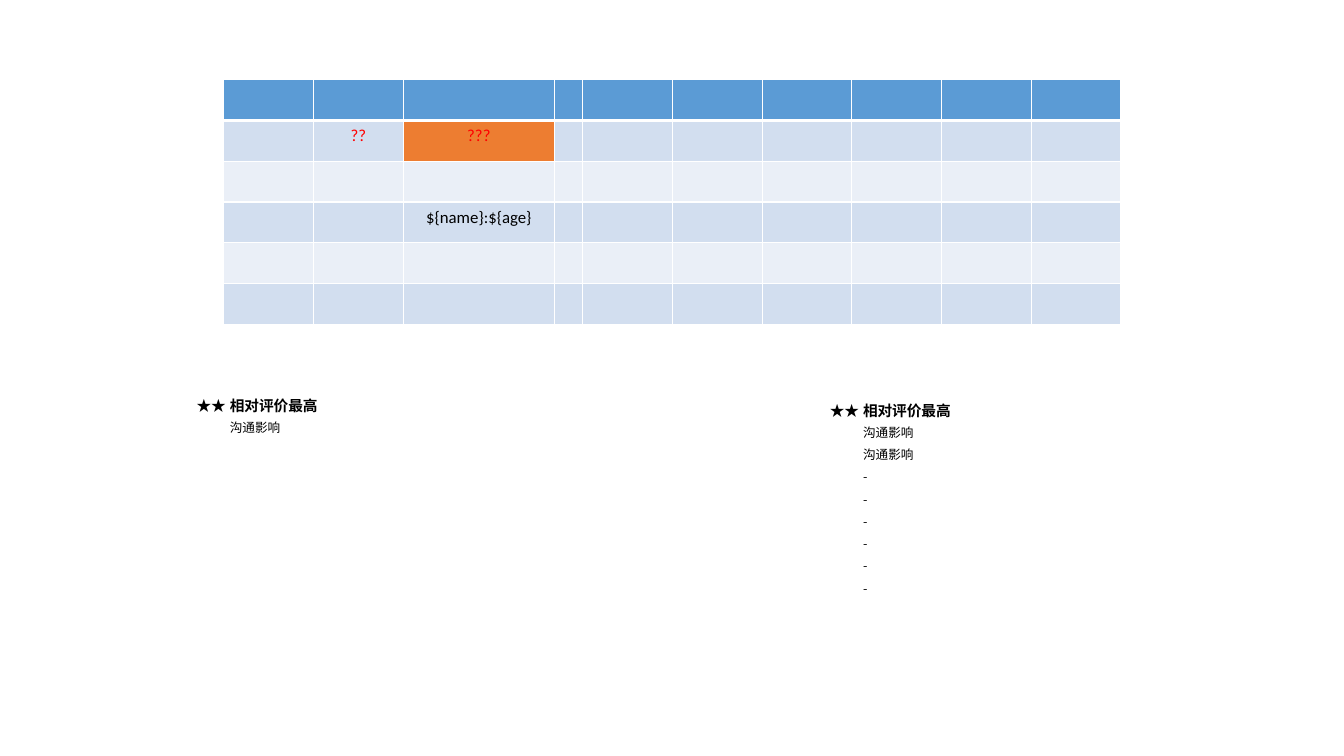
from lxml import etree
from pptx import Presentation
from pptx.dml.color import RGBColor
from pptx.enum.text import MSO_ANCHOR, PP_ALIGN
from pptx.oxml.ns import qn
from pptx.util import Inches, Pt

CENTER, LEFT, MIDDLE = PP_ALIGN.CENTER, PP_ALIGN.LEFT, MSO_ANCHOR.MIDDLE

WHITE = RGBColor(0xFF, 0xFF, 0xFF)
BLACK = RGBColor(0x00, 0x00, 0x00)
RED = RGBColor(0xFF, 0x00, 0x00)
ORANGE = RGBColor(0xED, 0x7D, 0x31)
HEADER_BLUE = RGBColor(0x5B, 0x9B, 0xD5)
BAND_DARK = RGBColor(0xD2, 0xDE, 0xEF)
BAND_LIGHT = RGBColor(0xEA, 0xEF, 0xF7)

GRID_FONT, RATING_FONT = "Calibri", "Noto Sans CJK SC"


def write_cell(cell, text, font_name, size, color, align, bold=False):
    """Write one run into a cell; an empty cell only keeps the text size."""
    paragraph = cell.text_frame.paragraphs[0]
    paragraph.alignment = align
    if not text:
        end = etree.SubElement(paragraph._p, qn("a:endParaRPr"), sz=str(int(size * 100)))
        etree.SubElement(end, qn("a:latin"), typeface=font_name)
        return
    run = paragraph.add_run()
    run.text = text
    run.font.name = font_name
    run.font.size = Pt(size)
    run.font.bold = bold
    run.font.color.rgb = color
    etree.SubElement(run.font._element, qn("a:ea"), typeface=font_name)


def add_grid(slide, left, top, column_widths, row_heights):
    """Add a table with the given column widths and row heights in inches."""
    table = slide.shapes.add_table(
        len(row_heights), len(column_widths), Inches(left), Inches(top),
        Inches(sum(column_widths)), Inches(sum(row_heights))).table
    for column, width in zip(table.columns, column_widths):
        column.width = Inches(width)
    for row, height in zip(table.rows, row_heights):
        row.height = Inches(height)
    return table


presentation = Presentation()
presentation.slide_width = Inches(13.33)
presentation.slide_height = Inches(7.5)
slide = presentation.slides.add_slide(presentation.slide_layouts[6])

# Banded grid with its placeholder values
COLUMN, ROW, ROW_COUNT = 0.89, 0.405, 6
grid_columns = [COLUMN] * 2 + [1.5, 0.28] + [COLUMN] * 6
grid_values = {(1, 1): ("??", RED), (1, 2): ("???", RED),
               (3, 2): ("${name}:${age}", BLACK)}
grid = add_grid(slide, 2.22, 0.79, grid_columns, [ROW] * ROW_COUNT)

for row in range(ROW_COUNT):
    band = HEADER_BLUE if row == 0 else BAND_DARK if row % 2 else BAND_LIGHT
    border_widths = {"L": 1, "R": 1, "T": 3 if row == 1 else 1, "B": 3 if row == 0 else 1}
    for column in range(len(grid_columns)):
        cell = grid.cell(row, column)
        text, color = grid_values.get((row, column), ("", BLACK))
        write_cell(cell, text, GRID_FONT, 12, color, CENTER)
        for side, width in border_widths.items():
            border = etree.SubElement(cell._tc.get_or_add_tcPr(), qn("a:ln" + side),
                                      w=str(Pt(width)))
            line_fill = etree.SubElement(border, qn("a:solidFill"))
            etree.SubElement(line_fill, qn("a:srgbClr"), val=str(WHITE))
        cell.fill.solid()
        cell.fill.fore_color.rgb = ORANGE if (row, column) == (1, 2) else band

# Rating lists: stars and heading, then the rated items
STARS, HEADING, ITEM = "★★", "相对评价最高", "沟通影响"
rating_lists = [(1.92, 3.9, [ITEM]), (8.2, 3.95, [ITEM] * 2 + ["-"] * 6)]

for left, top, items in rating_lists:
    rating = add_grid(slide, left, top, [0.35, 1.22], [0.19] + [0.18] * len(items))
    rating.first_row = rating.horz_banding = False
    for row, labels in enumerate([(STARS, HEADING)] + [("", item) for item in items]):
        for column, label in enumerate(labels):
            cell = rating.cell(row, column)
            cell.margin_left = cell.margin_right = cell.margin_top = Inches(0.01)
            cell.margin_bottom = 0
            cell.vertical_anchor = MIDDLE
            cell.fill.background()
            write_cell(cell, label, RATING_FONT, 9 if row and column else 10.5, BLACK,
                       LEFT if column else CENTER, bold=row == 0)

presentation.save("out.pptx")
